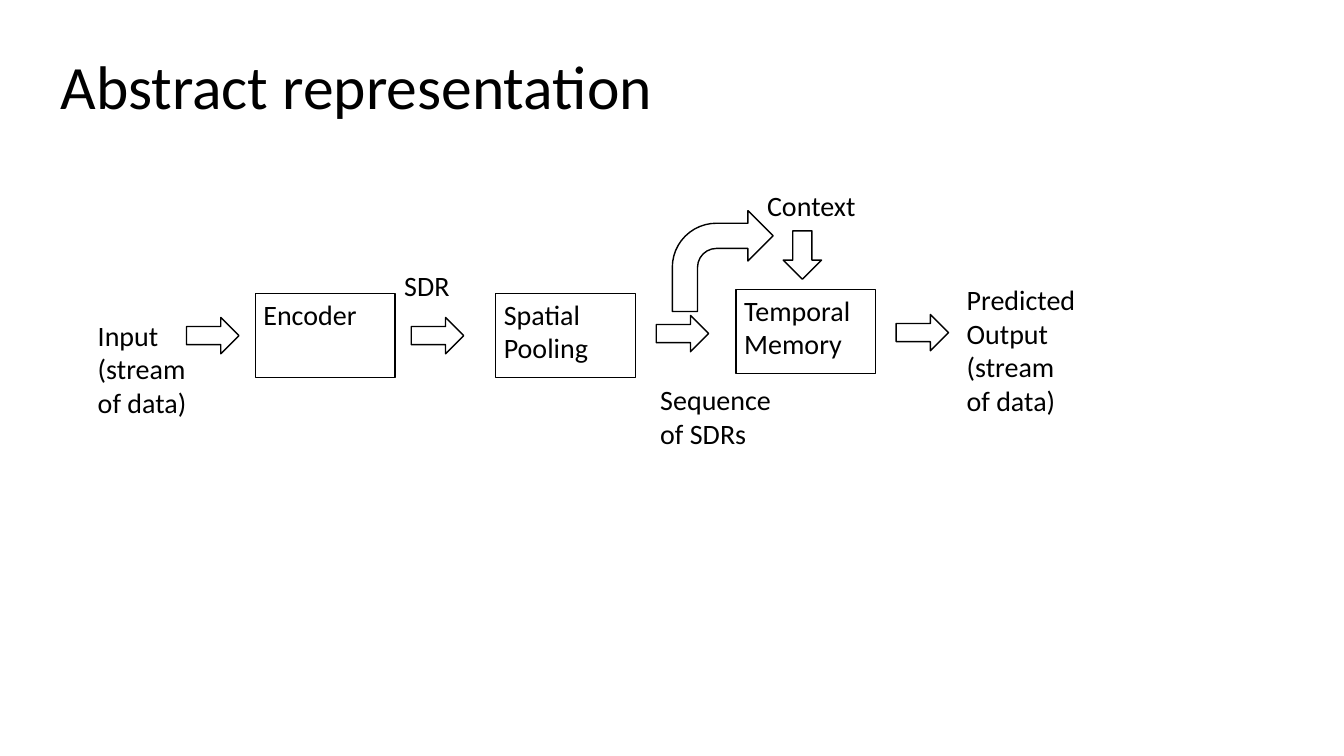
import dataclasses
import typing

import pptx
import pptx.dml.color
import pptx.enum.shapes
import pptx.enum.text
import pptx.util

KIND = pptx.enum.shapes.MSO_SHAPE
RIGHT, DOWN, BENT = KIND.RIGHT_ARROW, KIND.DOWN_ARROW, KIND.BENT_ARROW


@dataclasses.dataclass(frozen=True)
class Theme:
    font: str = "Calibri"
    ink: str = "000000"
    paper: str = "FFFFFF"
    title: float = 44
    body: float = 20
    line: float = 1


@dataclasses.dataclass(frozen=True)
class Grid:
    """Square cells, ten to the inch."""
    cols: float = 133.33
    rows: float = 75
    cell: float = 0.1

    def span(self, count: float) -> pptx.util.Length:
        return pptx.util.Inches(count * self.cell)


class Area(typing.NamedTuple):
    col: float
    row: float
    wide: float = 13
    high: float = 10


class Label(typing.NamedTuple):
    text: str
    area: Area


class Arrow(typing.NamedTuple):
    kind: KIND
    area: Area


THEME = Theme()
GRID = Grid()
PITCH = 23.85

STAGES = [
    Label(text, Area(25.33 + step * PITCH, row, 13.85, 8.35))
    for step, (text, row) in enumerate(
        [("Encoder", 29.1), ("Spatial Pooling", 29.1), ("Temporal Memory", 28.7)])
]
ARROWS = [
    Arrow(RIGHT, Area(col, row, 5.2, 3.6))
    for col, row in [(18.5, 31.5), (40.8, 31.5), (65.1, 31.3), (88.9, 31.2)]
] + [
    Arrow(DOWN, Area(77.7, 22.9, 3.8, 4.8)),
    Arrow(BENT, Area(66.7, 20.9, 10)),
]
TITLE = Label("Abstract representation", Area(5.2, 5.2, 91.4, 11.8))
LABELS = [
    Label("SDR", Area(39.3, 26.2)),
    Label("Input\n(stream\nof data)", Area(8.9, 31.15)),
    Label("Predicted\nOutput\n(stream\nof data)", Area(95.1, 27.65)),
    Label("Context", Area(75.3, 18.35)),
    Label("Sequence\nof SDRs", Area(64.7, 37.55)),
]


def place(area: Area) -> list[pptx.util.Length]:
    return [GRID.span(count) for count in area]


def tint(code: str) -> pptx.dml.color.RGBColor:
    return pptx.dml.color.RGBColor.from_string(code)


def write(shape, text: str, *, size: float = THEME.body,
          before: float = 0, lead: float = 1) -> None:
    """Fill a shape with text, one paragraph to a line."""
    frame = shape.text_frame
    frame.text = text
    frame.word_wrap = True
    frame.vertical_anchor = pptx.enum.text.MSO_ANCHOR.TOP
    frame.margin_left = frame.margin_right = pptx.util.Inches(0.08)
    frame.margin_top = frame.margin_bottom = pptx.util.Inches(0.04)
    for para in frame.paragraphs:
        para.alignment = pptx.enum.text.PP_ALIGN.LEFT
        para.space_before = pptx.util.Pt(before)
        para.line_spacing = lead
        for run in para.runs:
            run.font.name = THEME.font
            run.font.size = pptx.util.Pt(size)
            run.font.color.rgb = tint(THEME.ink)


def draw(slide, kind: KIND, area: Area):
    shape = slide.shapes.add_shape(kind, *place(area))
    shape.shadow.inherit = False
    shape.fill.solid()
    shape.fill.fore_color.rgb = tint(THEME.paper)
    shape.line.color.rgb = tint(THEME.ink)
    shape.line.width = pptx.util.Pt(THEME.line)
    return shape


def main() -> None:
    deck = pptx.Presentation()
    deck.slide_width = GRID.span(GRID.cols)
    deck.slide_height = GRID.span(GRID.rows)
    slide = deck.slides.add_slide(deck.slide_layouts[6])

    head = slide.shapes.add_textbox(*place(TITLE.area))
    write(head, TITLE.text, size=THEME.title, lead=0.9)
    for stage in STAGES:
        write(draw(slide, KIND.RECTANGLE, stage.area), stage.text, before=3)
    for arrow in ARROWS:
        draw(slide, arrow.kind, arrow.area)
    for label in LABELS:
        write(slide.shapes.add_textbox(*place(label.area)), label.text)

    deck.save("out.pptx")


if __name__ == "__main__":
    main()
